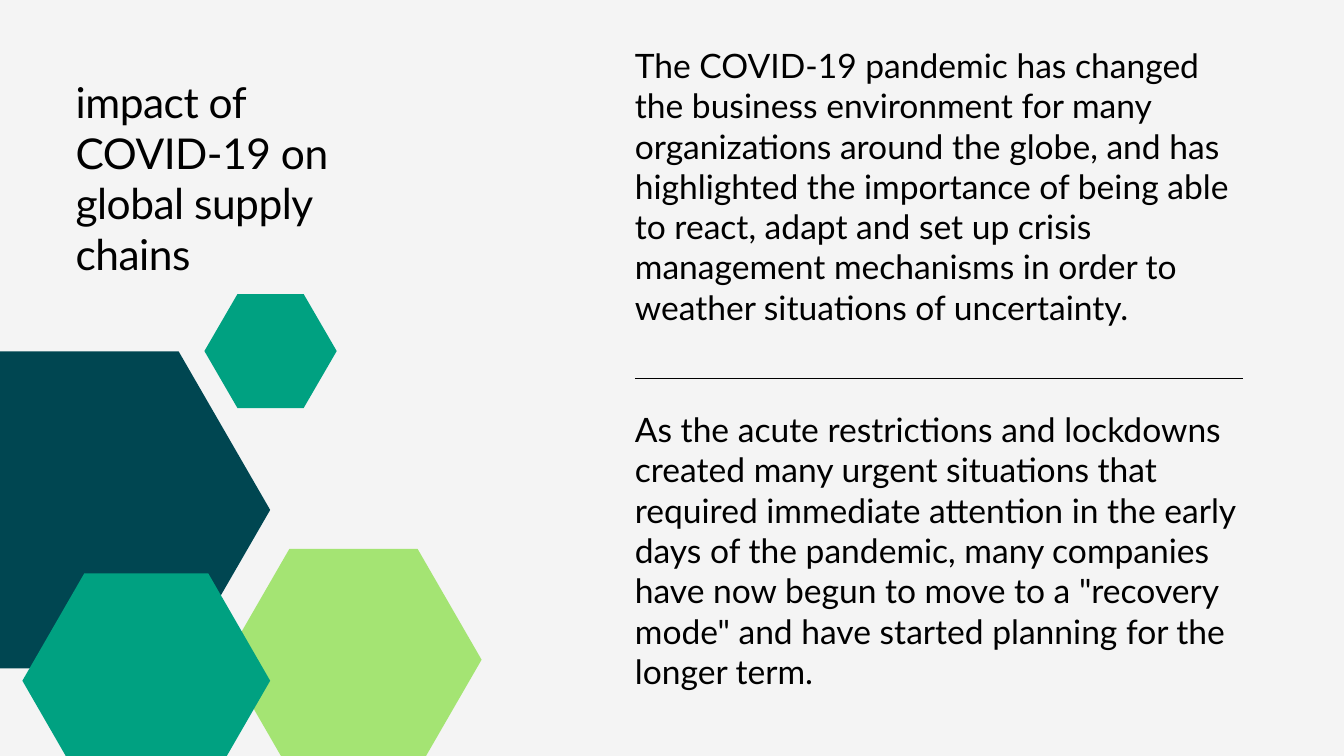
from lxml import etree
from pptx import Presentation
from pptx.dml.color import RGBColor
from pptx.enum.shapes import MSO_CONNECTOR, MSO_SHAPE
from pptx.enum.text import MSO_ANCHOR
from pptx.oxml.ns import qn
from pptx.util import Pt

EMU_PER_PX = 9525
HEXAGON = MSO_SHAPE.HEXAGON
STRAIGHT = MSO_CONNECTOR.STRAIGHT
TOP = MSO_ANCHOR.TOP

FONT = "Lato"
BLACK = RGBColor(0x00, 0x00, 0x00)
BACKGROUND = RGBColor(0xF4, 0xF4, 0xF4)
NAVY = RGBColor(0x00, 0x46, 0x51)
LIME = RGBColor(0xA4, 0xE4, 0x73)
GREEN = RGBColor(0x00, 0xA1, 0x81)

COLUMN_LEFT, COLUMN_WIDTH, COLUMN_HEIGHT = 907, 869, 457
DIVIDER_TOP = 540

TITLE = "impact of COVID-19 on global supply chains"
PARAGRAPHS = [
    (64, "The COVID-19 pandemic has changed the business environment for many "
         "organizations around the globe, and has highlighted the importance of "
         "being able to react, adapt and set up crisis management mechanisms in "
         "order to weather situations of uncertainty."),
    (584, "As the acute restrictions and lockdowns created many urgent situations "
          "that required immediate attention in the early days of the pandemic, "
          "many companies have now begun to move to a \"recovery mode\" and have "
          "started planning for the longer term."),
]

# left, top, width, height, colour, from back to front
HEXAGONS = [
    (-137, 502, 523, 453, NAVY),
    (322, 784, 366, 317, LIME),
    (292, 420, 189, 163, GREEN),
    (32, 819, 354, 307, GREEN),
]


def px(*lengths):
    """Turn px lengths into a list of EMU."""
    return [length * EMU_PER_PX for length in lengths]


def add_hexagon(slide, left, top, width, height, color):
    shape = slide.shapes.add_shape(HEXAGON, *px(left, top, width, height))
    shape.adjustments[0] = width / height / 4
    shape.shadow.inherit = False
    shape.fill.solid()
    shape.fill.fore_color.rgb = color
    shape.line.fill.background()


def add_text(slide, box, text, size, line_height, tracking=0):
    """Add one paragraph; tracking is in hundredths of a point."""
    frame = slide.shapes.add_textbox(*px(*box)).text_frame
    frame.word_wrap = True
    frame.vertical_anchor = TOP
    frame.margin_left = frame.margin_top = 0
    frame.margin_right = frame.margin_bottom = 0
    paragraph = frame.paragraphs[0]
    paragraph.line_spacing = Pt(line_height)
    run = paragraph.add_run()
    run.text = text
    run.font.name = FONT
    run.font.size = Pt(size)
    run.font.color.rgb = BLACK
    if tracking:
        run._r.get_or_add_rPr().set("spc", str(tracking))


def add_divider(slide, left, top, width):
    line = slide.shapes.add_connector(STRAIGHT, *px(left, top, left + width, top))
    line.line.color.rgb = BLACK
    line.line.width = Pt(0.75)
    etree.SubElement(line._element.spPr, qn("a:effectLst"))


def main():
    presentation = Presentation()
    presentation.slide_width, presentation.slide_height = px(1920, 1080)
    slide = presentation.slides.add_slide(presentation.slide_layouts[6])
    slide.background.fill.solid()
    slide.background.fill.fore_color.rgb = BACKGROUND

    add_text(slide, (108, 108, 372, 289), TITLE, 45.5, 54.6, tracking=-50)
    for hexagon in HEXAGONS:
        add_hexagon(slide, *hexagon)
    for top, text in PARAGRAPHS:
        box = (COLUMN_LEFT, top, COLUMN_WIDTH, COLUMN_HEIGHT)
        add_text(slide, box, text, 36, 43.2)
    add_divider(slide, COLUMN_LEFT, DIVIDER_TOP, COLUMN_WIDTH)

    presentation.save("out.pptx")


if __name__ == "__main__":
    main()
